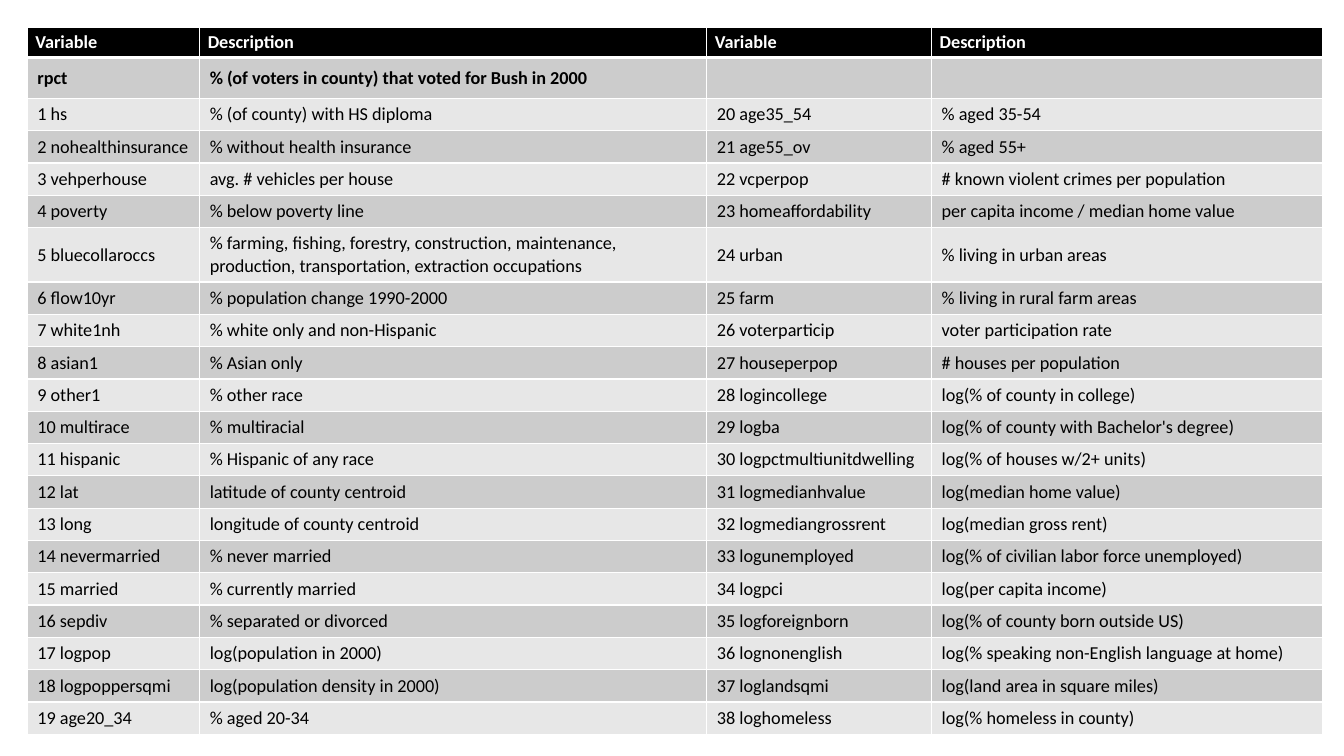
from lxml import etree
from pptx import Presentation
from pptx.dml.color import RGBColor
from pptx.enum.text import MSO_ANCHOR
from pptx.oxml.ns import qn
from pptx.util import Inches, Pt

MIDDLE = MSO_ANCHOR.MIDDLE
BLACK = RGBColor(0x00, 0x00, 0x00)
WHITE = RGBColor(0xFF, 0xFF, 0xFF)
DARK_BAND = RGBColor(0xCC, 0xCC, 0xCC)
LIGHT_BAND = RGBColor(0xE7, 0xE7, 0xE7)

# Percentages of the slide's width or height
TABLE_LEFT, TABLE_TOP, TABLE_HEIGHT = 2.03, 3.6, 93.73
COLUMN_WIDTHS = (12.83, 37.73, 16.73, 29.1)
HEADER_HEIGHT, ROW_HEIGHT = 3.87, 4.13

HEADINGS = ("Variable", "Description") * 2
TARGET = ("rpct", "% (of voters in county) that voted for Bush in 2000", "", "")
VARIABLES = [
    ("hs", "% (of county) with HS diploma"),
    ("nohealthinsurance", "% without health insurance"),
    ("vehperhouse", "avg. # vehicles per house"),
    ("poverty", "% below poverty line"),
    ("bluecollaroccs", "% farming, fishing, forestry, construction, maintenance, "
                       "production, transportation, extraction occupations"),
    ("flow10yr", "% population change 1990-2000"),
    ("white1nh", "% white only and non-Hispanic"),
    ("asian1", "% Asian only"),
    ("other1", "% other race"),
    ("multirace", "% multiracial"),
    ("hispanic", "% Hispanic of any race"),
    ("lat", "latitude of county centroid"),
    ("long", "longitude of county centroid"),
    ("nevermarried", "% never married"),
    ("married", "% currently married"),
    ("sepdiv", "% separated or divorced"),
    ("logpop", "log(population in 2000)"),
    ("logpoppersqmi", "log(population density in 2000)"),
    ("age20_34", "% aged 20-34"),
    ("age35_54", "% aged 35-54"),
    ("age55_ov", "% aged 55+"),
    ("vcperpop", "# known violent crimes per population"),
    ("homeaffordability", "per capita income / median home value"),
    ("urban", "% living in urban areas"),
    ("farm", "% living in rural farm areas"),
    ("voterparticip", "voter participation rate"),
    ("houseperpop", "# houses per population"),
    ("logincollege", "log(% of county in college)"),
    ("logba", "log(% of county with Bachelor's degree)"),
    ("logpctmultiunitdwelling", "log(% of houses w/2+ units)"),
    ("logmedianhvalue", "log(median home value)"),
    ("logmediangrossrent", "log(median gross rent)"),
    ("logunemployed", "log(% of civilian labor force unemployed)"),
    ("logpci", "log(per capita income)"),
    ("logforeignborn", "log(% of county born outside US)"),
    ("lognonenglish", "log(% speaking non-English language at home)"),
    ("loglandsqmi", "log(land area in square miles)"),
    ("loghomeless", "log(% homeless in county)"),
]


def table_rows():
    """Number the variables and set the second half beside the first."""
    entries = [(f"{number} {name}", description)
               for number, (name, description) in enumerate(VARIABLES, 1)]
    half = len(entries) // 2
    pairs = zip(entries[:half], entries[half:])
    return [HEADINGS, TARGET] + [left + right for left, right in pairs]


class SlideBuilder:
    font_name = "Calibri"
    font_size = Pt(13)

    def __init__(self, presentation):
        self.width = presentation.slide_width
        self.height = presentation.slide_height
        self.slide = presentation.slides.add_slide(presentation.slide_layouts[6])

    def across(self, percent):
        return round(self.width * percent / 100)

    def down(self, percent):
        return round(self.height * percent / 100)

    def add_borders(self, cell, bottom_width):
        properties = cell._tc.get_or_add_tcPr()
        for side, points in (("L", 1), ("R", 1), ("T", 1), ("B", bottom_width)):
            line = etree.SubElement(properties, qn(f"a:ln{side}"), w=str(Pt(points)))
            fill = etree.SubElement(line, qn("a:solidFill"))
            etree.SubElement(fill, qn("a:srgbClr"), val=str(WHITE))

    def fill_cell(self, cell, text, fill_color, is_header, bold):
        self.add_borders(cell, 3 if is_header else 1)
        cell.fill.solid()
        cell.fill.fore_color.rgb = fill_color
        cell.vertical_anchor = MIDDLE
        side, edge = (0.08, 0.04) if is_header else (0.1, 0.05)
        cell.margin_left = cell.margin_right = Inches(side)
        cell.margin_top = cell.margin_bottom = Inches(edge)
        if text:
            run = cell.text_frame.paragraphs[0].add_run()
            run.text = text
            run.font.name = self.font_name
            run.font.size = self.font_size
            run.font.bold = bold
            run.font.color.rgb = WHITE if is_header else BLACK

    def add_table(self, rows, left, top, height, column_widths):
        frame = self.slide.shapes.add_table(
            len(rows), len(column_widths), self.across(left), self.down(top),
            self.across(sum(column_widths)), self.down(height))
        table = frame.table
        table.first_row = table.horz_banding = False
        for column, width in zip(table.columns, column_widths):
            column.width = self.across(width)
        for row_index, texts in enumerate(rows):
            is_header = row_index == 0
            row = table.rows[row_index]
            row.height = self.down(HEADER_HEIGHT if is_header else ROW_HEIGHT)
            band = DARK_BAND if row_index % 2 else LIGHT_BAND
            for cell, text in zip(row.cells, texts):
                self.fill_cell(cell, text, BLACK if is_header else band,
                               is_header, bold=row_index < 2)
        frame.height = self.down(height)


def main():
    presentation = Presentation()
    presentation.slide_width = Inches(13.33)
    presentation.slide_height = Inches(7.5)
    builder = SlideBuilder(presentation)
    builder.add_table(table_rows(), TABLE_LEFT, TABLE_TOP, TABLE_HEIGHT, COLUMN_WIDTHS)
    presentation.save("out.pptx")


if __name__ == "__main__":
    main()
